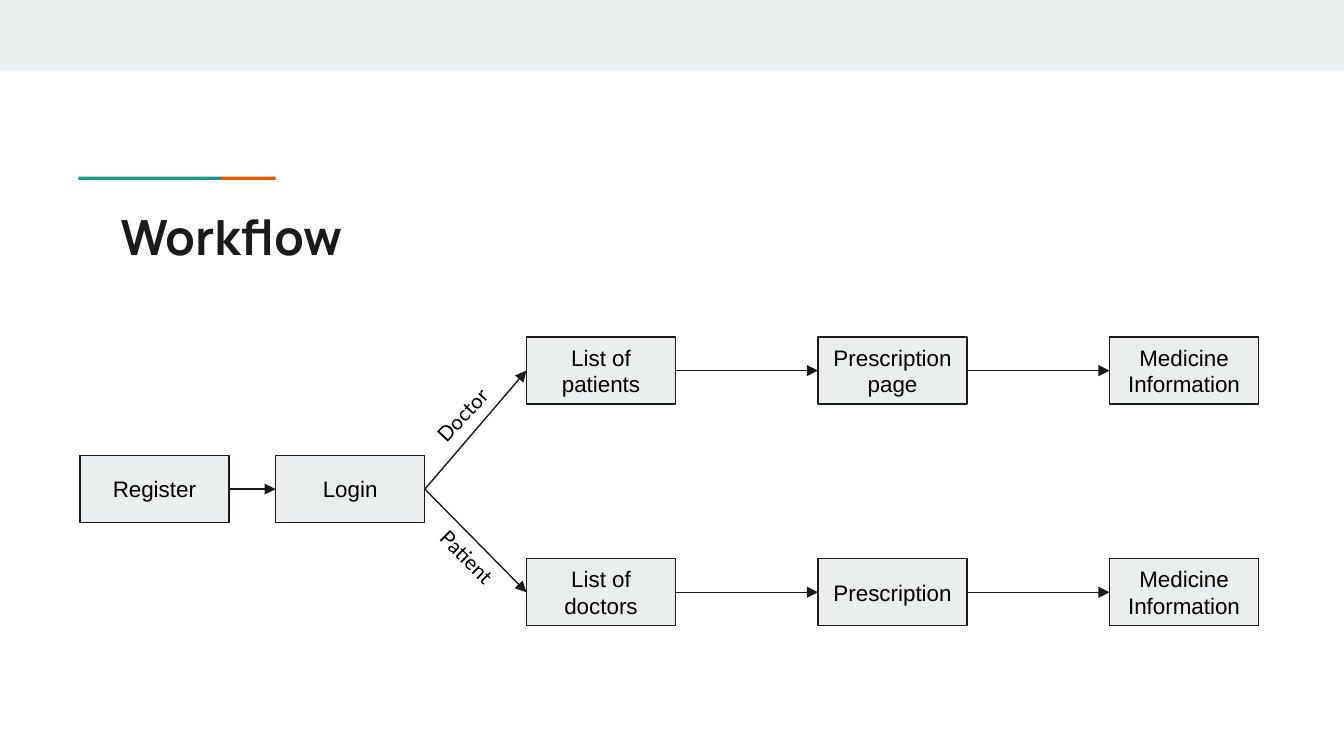
import dataclasses

import lxml.etree
import pptx
import pptx.dml.color
import pptx.enum.shapes
import pptx.enum.text
import pptx.oxml.ns
import pptx.util

Cm = pptx.util.Cm
Pt = pptx.util.Pt
SHAPE = pptx.enum.shapes.MSO_SHAPE
ALIGN = pptx.enum.text.PP_ALIGN
ANCHOR = pptx.enum.text.MSO_ANCHOR
RIGHT, LEFT = 3, 1


@dataclasses.dataclass(frozen=True)
class Theme:
    pale: str = "E9EDEE"
    ink: str = "1A1A1A"
    black: str = "000000"
    teal: str = "1A9988"
    orange: str = "EB5600"
    head: tuple = ("Manrope", 26, True)
    body: tuple = ("Arial", 12, False)
    label: tuple = ("Lato", 11, False)
    line: float = 0.75
    inset: float = 0.25


def color(code):
    return pptx.dml.color.RGBColor.from_string(code)


def apply(target, values):
    for name, value in values.items():
        setattr(target, name, value)


class Maker:
    def __init__(self, slide, theme):
        self.slide = slide
        self.theme = theme

    def fill_text(self, shape, text, style, ink, align=ALIGN.LEFT, anchor=ANCHOR.TOP):
        frame = shape.text_frame
        frame.text = text
        sides = ("left", "top", "right", "bottom")
        apply(frame, {f"margin_{side}": Cm(self.theme.inset) for side in sides})
        apply(frame, {
            "word_wrap": True,
            "auto_size": pptx.enum.text.MSO_AUTO_SIZE.NONE,
            "vertical_anchor": anchor,
        })
        para = frame.paragraphs[0]
        para.alignment = align
        name, size, bold = style
        font = para.runs[0].font
        apply(font, {"name": name, "size": Pt(size), "bold": bold})
        font.color.rgb = color(ink)

    def title(self, text, *place):
        shape = self.slide.shapes.title
        apply(shape, dict(zip(("left", "top", "width", "height"), map(Cm, place))))
        self.fill_text(shape, text, self.theme.head, self.theme.ink)

    def band(self, fill, *place):
        shape = self.slide.shapes.add_shape(SHAPE.RECTANGLE, *map(Cm, place))
        shape.shadow.inherit = False
        shape.fill.solid()
        shape.fill.fore_color.rgb = color(fill)
        shape.line.fill.background()
        return shape

    def box(self, text, *place):
        shape = self.band(self.theme.pale, *place)
        self.trace(shape.line)
        self.fill_text(shape, text, self.theme.body, self.theme.black,
                       ALIGN.CENTER, ANCHOR.MIDDLE)
        return shape

    def label(self, text, turn, *place):
        shape = self.slide.shapes.add_textbox(*map(Cm, place))
        shape.rotation = turn
        self.fill_text(shape, text, self.theme.label, self.theme.black)

    def trace(self, line):
        line.color.rgb = color(self.theme.ink)
        line.width = Pt(self.theme.line)

    def arrow(self, start, end):
        """Join the right side of one box to the left side of another."""
        link = self.slide.shapes.add_connector(
            pptx.enum.shapes.MSO_CONNECTOR.STRAIGHT, 0, 0, 0, 0)
        link.begin_connect(start, RIGHT)
        link.end_connect(end, LEFT)
        self.trace(link.line)
        tag = pptx.oxml.ns.qn
        props = link._element.spPr
        lxml.etree.SubElement(props.find(tag("a:ln")), tag("a:tailEnd"), type="triangle")
        lxml.etree.SubElement(props, tag("a:effectLst"))


def main():
    deck = pptx.Presentation()
    apply(deck, {"slide_width": Cm(25.4), "slide_height": Cm(14.29)})
    theme = Theme()
    maker = Maker(deck.slides.add_slide(deck.slide_layouts[5]), theme)

    maker.band(theme.pale, 0, 0, 25.4, 1.35)
    maker.band(theme.teal, 1.48, 3.34, 2.7, 0.06)
    maker.band(theme.orange, 4.18, 3.34, 1.03, 0.06)
    maker.title("Workflow", 2.03, 3.66, 21.36, 1.5)

    wide, high = 2.82, 1.27
    first, step = 9.95, 5.51
    middle = 8.61
    branches = {
        6.37: ("List of patients", "Prescription page", "Medicine Information"),
        10.56: ("List of doctors", "Prescription", "Medicine Information"),
    }

    start = maker.box("Register", 1.51, middle, wide, high)
    login = maker.box("Login", 5.21, middle, wide, high)
    maker.arrow(start, login)
    for top, names in branches.items():
        last = login
        for col, name in enumerate(names):
            box = maker.box(name, first + col * step, top, wide, high)
            maker.arrow(last, box)
            last = box

    maker.label("Doctor", 312.9, 7.75, 7.32, 1.93, 0.69)
    maker.label("Patient", 45, 8.03, 10.16, 1.93, 0.69)

    deck.save("out.pptx")


if __name__ == "__main__":
    main()
